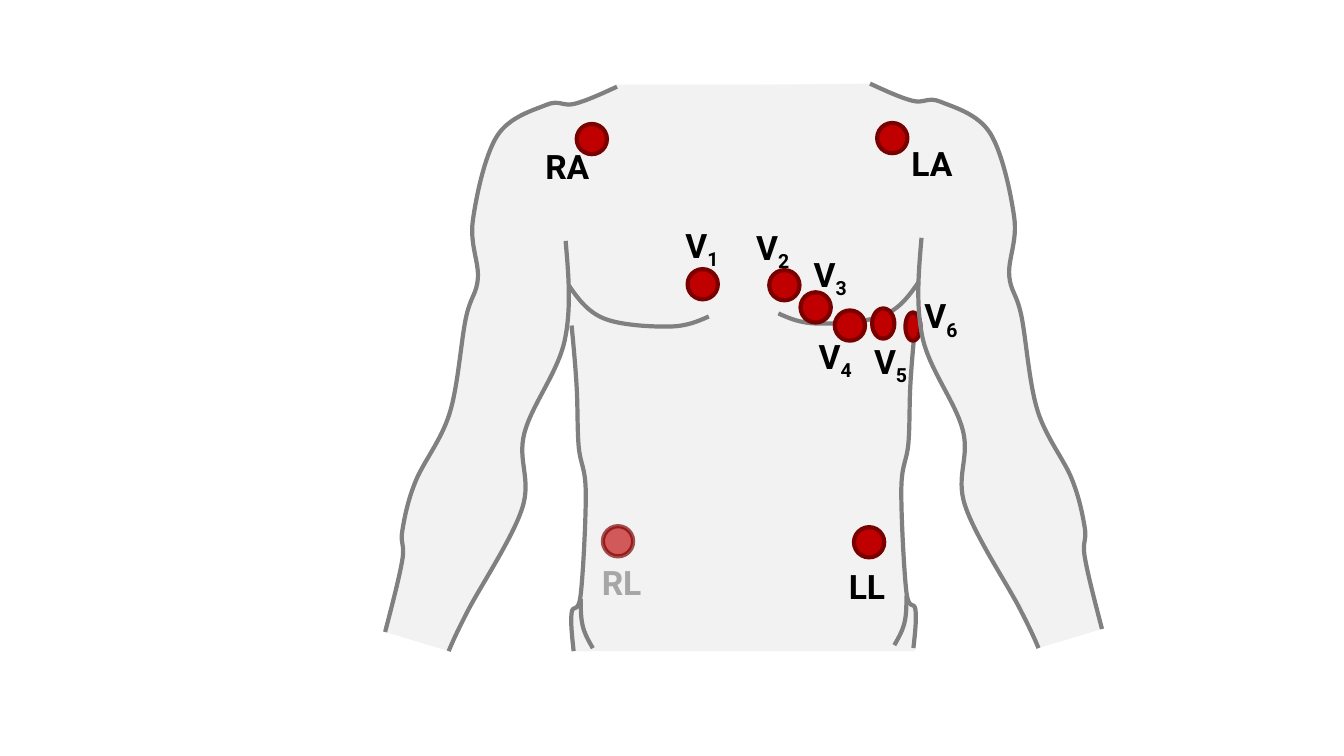
import collections
import dataclasses
import lxml.etree
import pptx
import pptx.dml.color
import pptx.enum.shapes
import pptx.enum.text
import pptx.oxml.ns
import pptx.util

Inches = pptx.util.Inches
Pt = pptx.util.Pt
qn = pptx.oxml.ns.qn
Box = collections.namedtuple("Box", "left top width height")
Lead = collections.namedtuple("Lead", "name sub dot size shift")


@dataclasses.dataclass(frozen=True)
class Theme:
    skin: str = "F2F2F2"
    edge: str = "808080"
    dot: str = "C00000"
    rim: str = "7A0000"
    text: str = "000000"
    pale: str = "A6A6A6"
    font: str = "Roboto"
    size: int = 24
    line: int = 3


THEME = Theme()
WIDE = 8.75
RISE = 0.03
ROUND = (0.3, 0.3)
FAINT = "RL"

SHOULDER = [(3.12, 0.86), (2.7, 1.03), (2.42, 1.04), (1.93, 1.35)]
BICEPS = [(1.69, 2.19), (1.74, 2.76), (1.62, 3.16), (1.46, 4.1)]
FOREARM = [(1.12, 4.78), (0.99, 5.27), (0.99, 5.56), (0.82, 6.27)]
OUTER = SHOULDER + BICEPS + FOREARM
INNER = [(2.61, 2.39), (2.6, 3.38), (2.2, 4.3), (2.18, 5.04), (1.64, 6.06), (1.45, 6.46)]
CHEST = [(2.64, 2.83), (2.99, 3.16), (3.64, 3.24), (4.03, 3.14)]
FLANK = [(2.67, 3.23), (2.72, 3.84), (2.74, 4.43), (2.81, 4.88)]
HIP = [(2.76, 5.9), (2.67, 6.08), (2.69, 6.46)]
WAIST = FLANK + HIP
GROIN = [(2.76, 5.94), (2.78, 6.21), (2.88, 6.43)]
NECK = [(3.11, 0.84), (3.34, 1.39)]
BELLY = [(2.67, 6.46), (2.97, 5.76)]

LIMBS = [
    Lead("RA", "", (2.72, 1.23), ROUND, (-0.41, 0.17)),
    Lead("RL", "", (2.98, 5.22), ROUND, (-0.11, 0.31)),
    Lead("LA", "", (5.7, 1.22), ROUND, (0.24, 0.15)),
    Lead("LL", "", (5.47, 5.23), ROUND, (-0.15, 0.34)),
]
RIBS = [
    ((3.82, 2.67), ROUND, (-0.12, -0.49)),
    ((4.63, 2.68), ROUND, (-0.23, -0.48)),
    ((4.94, 2.9), ROUND, (0.03, -0.43)),
    ((5.28, 3.08), ROUND, (-0.26, 0.2)),
    ((5.65, 3.06), (0.22, 0.3), (-0.08, 0.27)),
    ((5.98, 3.1), (0.15, 0.28), (0.09, -0.22)),
]
LEADS = LIMBS + [Lead("V", str(n), *rib) for n, rib in enumerate(RIBS, 1)]


def color(code):
    return pptx.dml.color.RGBColor.from_string(code)


def place(box, x, y):
    return box.left + Inches(x), box.top + Inches(y)


def mirror(points, rise=RISE):
    return [(WIDE - x, y - rise) for x, y in points]


def middle(a, b):
    return (a[0] + b[0]) / 2, (a[1] + b[1]) / 2


def lean(knot, start, end, sign):
    return tuple(k + sign * (e - s) / 6 for k, s, e in zip(knot, start, end))


def smooth(knots):
    arms = [(lean(b, a, c, -1), b, lean(b, a, c, 1))
            for a, b, c in zip(knots, knots[1:], knots[2:])]
    inside = [point for arm in arms for point in arm]
    first, last = knots[0], knots[-1]
    return [first, middle(first, inside[0]), *inside, middle(inside[-1], last), last]


def join(*curves):
    chain = list(curves[0])
    for curve in curves[1:]:
        chain += [chain[-1], curve[0], *curve]
    return chain


def bend(shape):
    route = shape.element.find(".//" + qn("a:path"))
    steps = route.findall(qn("a:lnTo"))
    for i in range(0, len(steps), 3):
        arc = lxml.etree.SubElement(route, qn("a:cubicBezTo"))
        steps[i].addprevious(arc)
        for step in steps[i:i + 3]:
            arc.append(step[0])
            route.remove(step)


def trace(shapes, box, points, close):
    spots = [place(box, x, y) for x, y in points]
    pen = shapes.build_freeform(*spots[0])
    pen.add_line_segments(spots[1:], close=close)
    shape = pen.convert_to_shape()
    shape.shadow.inherit = False
    return shape


def draw_patch(shapes, box, points):
    shape = trace(shapes, box, points, True)
    shape.fill.solid()
    shape.fill.fore_color.rgb = color(THEME.skin)
    shape.line.fill.background()
    return shape


def draw_curve(shapes, box, points):
    shape = trace(shapes, box, points, False)
    shape.fill.background()
    shape.line.color.rgb = color(THEME.edge)
    shape.line.width = Pt(THEME.line)
    bend(shape)


def draw_skin(slide, box):
    for side in (NECK, BELLY):
        draw_patch(slide.shapes, box, side + mirror(side, 0)[::-1])
    armpit = smooth(INNER)[3:]
    half = join(smooth(OUTER), armpit[::-1], smooth(WAIST))
    bend(draw_patch(slide.shapes, box, join(half, mirror(half)[::-1])))


def draw_lines(slide, box):
    group = slide.shapes.add_group_shape()
    for knots in (OUTER, INNER, CHEST, WAIST, GROIN):
        draw_curve(group.shapes, box, smooth(knots))
    for knots in (OUTER, CHEST, GROIN, WAIST):
        draw_curve(slide.shapes, box, smooth(mirror(knots)))


def draw_dot(slide, box, lead):
    oval = pptx.enum.shapes.MSO_SHAPE.OVAL
    dot = slide.shapes.add_shape(oval, *place(box, *lead.dot), *map(Inches, lead.size))
    dot.shadow.inherit = False
    dot.line.width = Pt(THEME.line)
    for fill, code in ((dot.fill, THEME.dot), (dot.line.fill, THEME.rim)):
        fill.solid()
        fill.fore_color.rgb = color(code)
    if lead.name == FAINT:
        tints = dot.element.spPr.iter(qn("a:srgbClr"))
        for tint, share in zip(list(tints), ("63000", "68000")):
            lxml.etree.SubElement(tint, qn("a:alpha"), val=share)


def draw_label(slide, box, lead):
    x, y = (d + s for d, s in zip(lead.dot, lead.shift))
    label = slide.shapes.add_textbox(*place(box, x, y), Inches(0.68), Inches(0.5))
    frame = label.text_frame
    frame.word_wrap = True
    frame.auto_size = pptx.enum.text.MSO_AUTO_SIZE.SHAPE_TO_FIT_TEXT
    for text in filter(None, (lead.name, lead.sub)):
        run = frame.paragraphs[0].add_run()
        run.text = text
        run.font.name = THEME.font
        run.font.size = Pt(THEME.size)
        run.font.bold = True
        run.font.color.rgb = color(THEME.pale if lead.name == FAINT else THEME.text)
        if text == lead.sub:
            run.font._element.set("baseline", "-25000")


def draw_leads(slide, box):
    for draw in (draw_dot, draw_label):
        for lead in LEADS:
            draw(slide, box, lead)


def draw_arm(slide, box):
    draw_curve(slide.shapes, box, smooth(mirror(INNER)))


def main():
    deck = pptx.Presentation()
    deck.slide_width, deck.slide_height = Inches(13.33), Inches(7.5)
    slide = deck.slides.add_slide(deck.slide_layouts[6])
    box = Box(Inches(3), Inches(0), Inches(WIDE), Inches(7.5))
    for draw in (draw_skin, draw_lines, draw_leads, draw_arm):
        draw(slide, box)
    deck.save("out.pptx")


if __name__ == "__main__":
    main()
